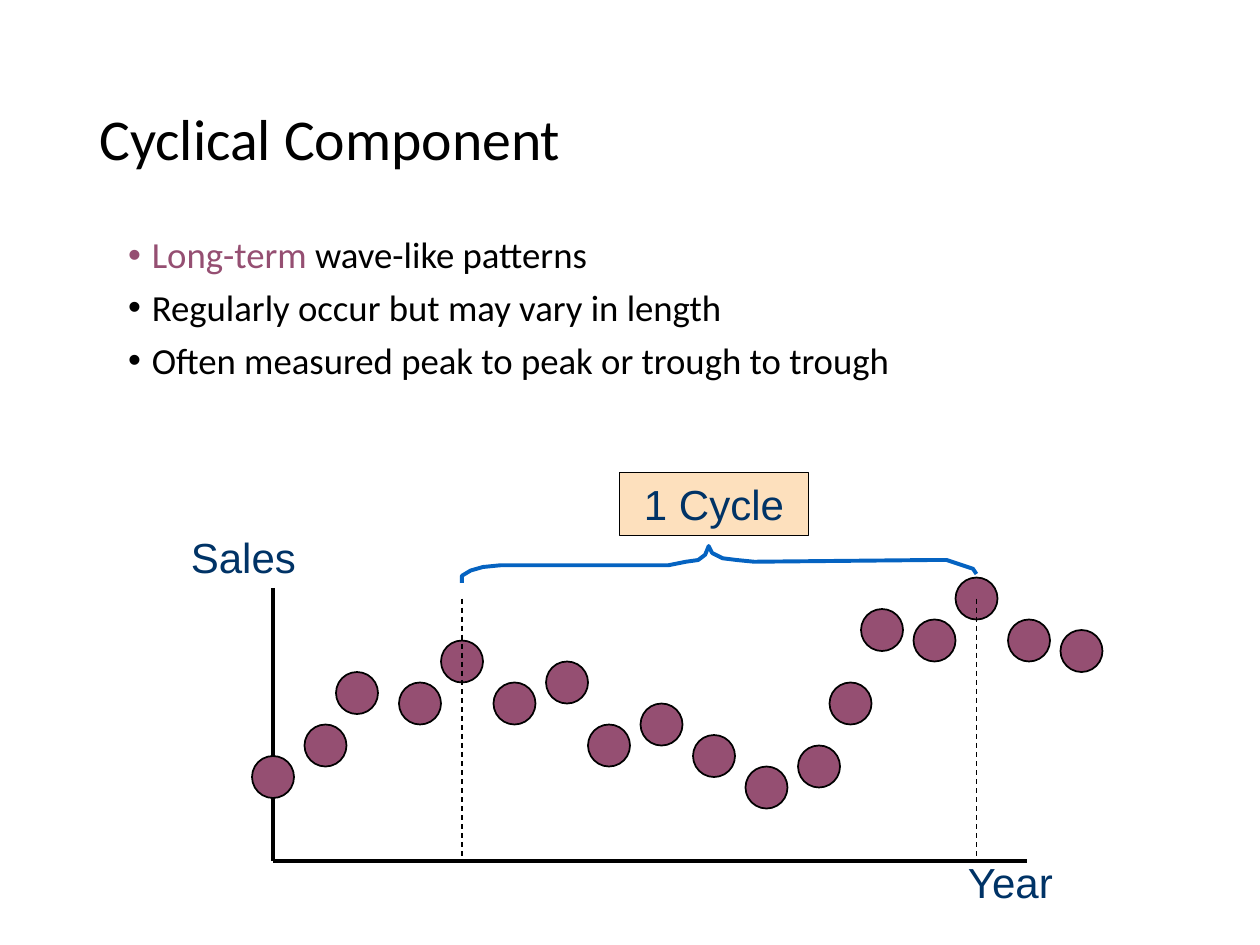
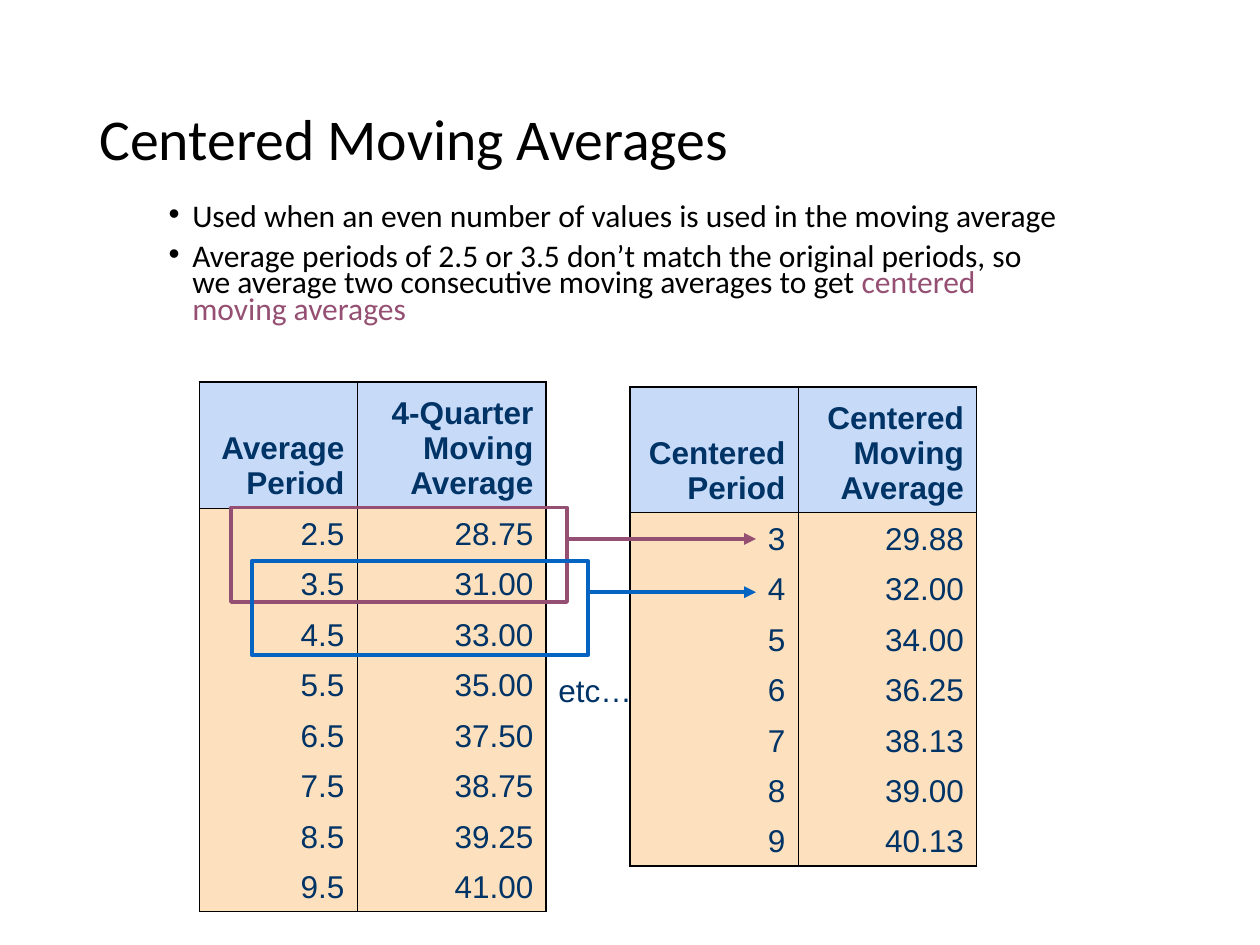
import pptx
import pptx.util
import pptx.dml.color
import pptx.enum.dml
import pptx.enum.shapes
import pptx.enum.text
import pptx.oxml.ns
import lxml.etree

Pt = pptx.util.Pt
rgb = pptx.dml.color.RGBColor.from_string
qn = pptx.oxml.ns.qn
SHAPE = pptx.enum.shapes.MSO_SHAPE
ALIGN = pptx.enum.text.PP_ALIGN
ANCHOR = pptx.enum.text.MSO_ANCHOR

# Shared colours
BLACK, NAVY, PURPLE, BLUE = "000000", "003366", "954F72", "0563C1"
PEACH, PALE_BLUE = "FDE0BD", "C7DAF7"


def write_text(tf, text, size=24, font="Arial", color=NAVY, accent=None, bold=False,
               align=ALIGN.LEFT, before=0, spacing=1.0, bullet=False):
    """Write one paragraph per line; the accent phrase is purple."""
    tf.word_wrap = True
    for i, line in enumerate(text.split("\n")):
        p = tf.add_paragraph() if i else tf.paragraphs[0]
        p.alignment, p.space_before, p.line_spacing = align, Pt(before), spacing
        if bullet:
            pPr = p._p.get_or_add_pPr()
            pPr.set("marL", str(Pt(13.5)))
            pPr.set("indent", str(Pt(-13.5)))
            lxml.etree.SubElement(pPr, qn("a:buFont"), typeface="Arial")
            lxml.etree.SubElement(pPr, qn("a:buChar"), char="•")
        for part in filter(None, line.partition(accent) if accent else [line]):
            r = p.add_run()
            r.text = part
            r.font.size, r.font.name, r.font.bold = Pt(size), font, bold
            r.font.color.rgb = rgb(PURPLE if part == accent else color)


def add_line(s, x1, y1, x2, y2, color=BLACK, width=2.0, dash=None, arrow=False):
    line = s.shapes.add_connector(pptx.enum.shapes.MSO_CONNECTOR.STRAIGHT,
                                  Pt(x1), Pt(y1), Pt(x2), Pt(y2))
    line.line.color.rgb = rgb(color)
    line.line.width = Pt(width)
    if dash:
        line.line.dash_style = dash
    if arrow:
        lxml.etree.SubElement(line.line._get_or_add_ln(), qn("a:tailEnd"), type="triangle")
    lxml.etree.SubElement(line._element.spPr, qn("a:effectLst"))


prs = pptx.Presentation()
prs.slide_width, prs.slide_height = Pt(720), Pt(540)

# Titles and bullets of both slides
pages = [
    ("Cyclical Component", (66.2, 131.8, 635.8, 178.6), 21, 0.9, "Long-term",
     "Long-term wave-like patterns\n"
     "Regularly occur but may vary in length\n"
     "Often measured peak to peak or trough to trough"),
    ("Centered Moving Averages", (89.3, 114.5, 522, 100.8), 18, 0.7, "centered moving averages",
     "Used when an even number of values is used in the moving average\n"
     "Average periods of 2.5 or 3.5 don’t match the original periods, so we average "
     "two consecutive moving averages to get centered moving averages"),
]
for title, box, size, spacing, accent, bullets in pages:
    s = prs.slides.add_slide(prs.slide_layouts[6])
    tf = s.shapes.add_textbox(Pt(49.7), Pt(28.8), Pt(621.4), Pt(104.4)).text_frame
    tf.vertical_anchor = ANCHOR.MIDDLE
    write_text(tf, title, size=33, font="Calibri", color=BLACK, spacing=0.9)
    tf = s.shapes.add_textbox(*map(Pt, box)).text_frame
    write_text(tf, bullets, size=size, font="Calibri", color=BLACK, accent=accent,
               before=7.5, spacing=spacing, bullet=True)

# Slide 1: axes and their labels
s = prs.slides[0]
add_line(s, 156, 336, 156, 492)
add_line(s, 156, 492, 587, 492)
for label, x, y in [("Sales", 102, 300), ("Year", 546, 486)]:
    tf = s.shapes.add_textbox(Pt(x), Pt(y), Pt(84), Pt(36)).text_frame
    write_text(tf, label, before=15)

# Sales observations
sales_dots = [(144, 432), (174, 414), (192, 384), (228, 390), (252, 366), (282, 390),
              (312, 378), (336, 414), (366, 402), (396, 420), (426, 438), (456, 426),
              (474, 390), (492, 348), (522, 354), (546, 330), (576, 354), (606, 360)]
for x, y in sales_dots:
    sp = s.shapes.add_shape(SHAPE.OVAL, Pt(x), Pt(y), Pt(24), Pt(24))
    sp.shadow.inherit = False
    sp.fill.solid()
    sp.fill.fore_color.rgb = rgb(PURPLE)
    sp.line.color.rgb = rgb(BLACK)
    sp.line.width = Pt(1)

# Peak-to-peak brace, its label and the peak markers
brace = [(558, 328.3), (555.8, 324.7), (550, 322.6), (541.4, 320.4), (532, 319.7),
         (430.6, 321), (421, 320.4), (412.6, 319), (406.8, 316), (404.6, 312.5),
         (403, 316.8), (399, 319.7), (391.7, 321), (381.6, 322.6), (285.8, 323.3),
         (275.8, 324), (269.3, 326), (264.2, 329), (263.5, 332.6)]
builder = s.shapes.build_freeform(*brace[0], scale=float(Pt(1)))
builder.add_line_segments(brace[1:], close=False)
sp = builder.convert_to_shape()
sp.shadow.inherit = False
sp.fill.background()
sp.line.color.rgb = rgb(BLUE)
sp.line.width = Pt(2.25)

sp = s.shapes.add_shape(SHAPE.RECTANGLE, Pt(354), Pt(270), Pt(108), Pt(36))
sp.shadow.inherit = False
sp.fill.solid()
sp.fill.fore_color.rgb = rgb(PEACH)
sp.line.color.rgb = rgb(BLACK)
sp.line.width = Pt(0.75)
sp.text_frame.vertical_anchor = ANCHOR.TOP
write_text(sp.text_frame, "1 Cycle", align=ALIGN.CENTER, before=15)

for x in (264, 558):
    add_line(s, x, 342, x, 492, width=0.75, dash=pptx.enum.dml.MSO_LINE.DASH)

# Slide 2: tables with a heavy frame, a thin column rule and a thin rule under the header
s = prs.slides[1]
tables = [
    (114, 218.2, (90, 108),
     [("Average Period", "4-Quarter Moving Average"),
      ("2.5", "28.75"), ("3.5", "31.00"), ("4.5", "33.00"), ("5.5", "35.00"),
      ("6.5", "37.50"), ("7.5", "38.75"), ("8.5", "39.25"), ("9.5", "41.00")]),
    (360, 221, (96, 102),
     [("Centered Period", "Centered Moving Average"),
      ("3", "29.88"), ("4", "32.00"), ("5", "34.00"), ("6", "36.25"),
      ("7", "38.13"), ("8", "39.00"), ("9", "40.13")]),
]
FRAME, RULE = 1.08, 0.45
for x, y, widths, rows in tables:
    height = 72 + 28.8 * (len(rows) - 1)
    table = s.shapes.add_table(len(rows), 2, Pt(x), Pt(y), Pt(sum(widths)), Pt(height)).table
    for column, width in zip(table.columns, widths):
        column.width = Pt(width)
    for i, row in enumerate(rows):
        table.rows[i].height = Pt(28.8 if i else 72)
        for j, value in enumerate(row):
            cell = table.cell(i, j)
            cell.vertical_anchor = ANCHOR.BOTTOM
            cell.fill.solid()
            cell.fill.fore_color.rgb = rgb(PEACH if i else PALE_BLUE)
            write_text(cell.text_frame, value, size=18, bold=i == 0, align=ALIGN.RIGHT)
            borders = {
                "L": RULE if j else FRAME,
                "R": FRAME if j else RULE,
                "T": {0: FRAME, 1: RULE}.get(i, 0),
                "B": RULE if i == 0 else FRAME if i == len(rows) - 1 else 0,
            }
            for k, (side, weight) in enumerate(borders.items()):
                ln = lxml.etree.Element(qn("a:ln" + side), w=str(Pt(weight)))
                fill = lxml.etree.SubElement(ln, qn("a:solidFill" if weight else "a:noFill"))
                if weight:
                    lxml.etree.SubElement(fill, qn("a:srgbClr"), val=BLACK)
                cell._tc.get_or_add_tcPr().insert(k, ln)

# Frames around pairs of averages, then an arrow from each to its centered period
pairs = [(132, 290, PURPLE), (144, 320.4, BLUE)]
for x, y, color in pairs:
    sp = s.shapes.add_shape(SHAPE.RECTANGLE, Pt(x), Pt(y), Pt(192), Pt(54))
    sp.shadow.inherit = False
    sp.fill.background()
    sp.line.color.rgb = rgb(color)
    sp.line.width = Pt(2.25)
for x, y, color in pairs:
    add_line(s, x + 192, y + 18, 432, y + 18, color=color, width=2.25, arrow=True)

tf = s.shapes.add_textbox(Pt(312), Pt(380), Pt(60), Pt(28.8)).text_frame
write_text(tf, "etc…", size=18, before=11.2)

prs.save("out.pptx")
